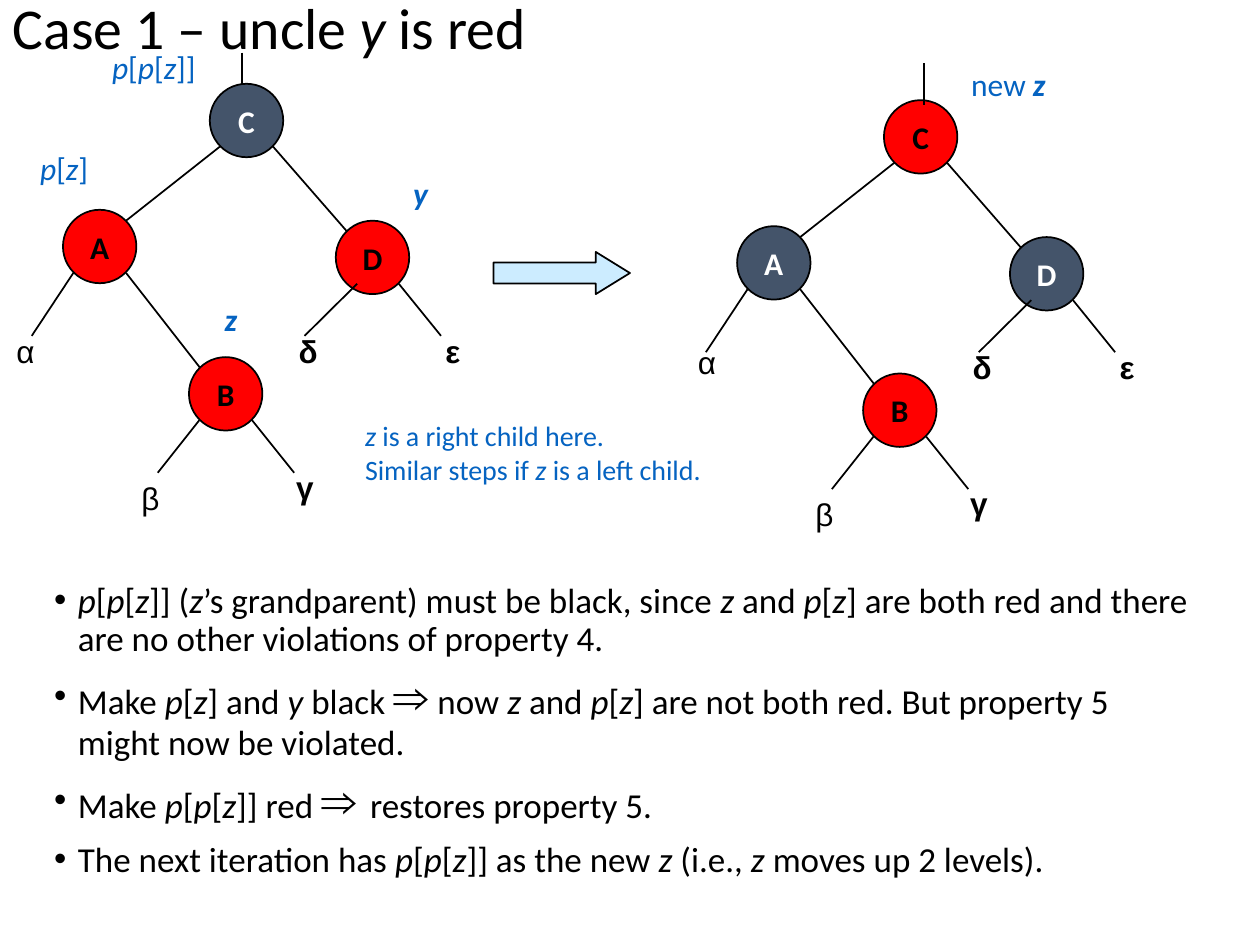
from lxml.etree import SubElement
from pptx import Presentation
from pptx.dml.color import RGBColor
from pptx.enum.shapes import MSO_CONNECTOR as LINE, MSO_SHAPE as SHAPE
from pptx.enum.text import MSO_ANCHOR as ANCHOR, MSO_AUTO_SIZE as FIT, PP_ALIGN as ALIGN
from pptx.oxml.ns import qn
from pptx.util import Cm, Pt

BLACK, WHITE, RED, SLATE, BLUE, PALE = "000000", "FFFFFF", "FF0000", "44546A", "0563C1", "CCECFF"
NODE = 1.48
ROW = 1.01

TITLE = "Case 1 – uncle *y* is red"
BULLETS = [
    "*p*[*p*[*z*]] (*z*’s grandparent) must be black, since *z *and *p*[*z*] are both red "
    "and there are no other violations of property 4.",
    "Make *p*[*z*] and *y *black ^⇒^^ ^now *z *and *p*[*z*] are not both red. "
    "But property 5 might now be violated.",
    "Make *p*[*p*[*z*]] red ^⇒ ^restores property 5.",
    "The next iteration has *p*[*p*[*z*]] as the new *z *(i.e., *z *moves up 2 levels).",
]
SYMBOLS = {"⇒": ("Arial", 28), "⇒ ": ("Arial", 28), " ": ("Lato", 20)}

NODES = {"C": (4.23, 1.69), "A": (1.27, 4.23), "D": (6.77, 4.45), "B": (3.81, 7.2)}
EDGES = [
    (4.44, 2.95, 2.54, 4.45), (5.5, 2.95, 6.99, 4.66),
    (2.54, 5.5, 4.03, 7.41), (1.48, 5.5, 0.64, 6.77),
    (4.02, 8.47, 3.18, 9.53), (5.08, 8.47, 5.93, 9.53),
    (7.2, 5.72, 6.14, 6.77), (8.04, 5.72, 8.89, 6.77),
]
LEAVES = [
    ("β", 2.6, 9.53, 0.86, False), ("γ", 5.72, 9.31, 1.04, True),
    ("δ", 5.77, 6.56, 0.81, True), ("ε", 8.73, 6.56, 0.79, True),
]
TREES = [
    dict(offset=(0, 0), red="ADB", alpha=(0.08, 6.56), stem=(4.88, 1.06, 4.88, 1.69)),
    dict(offset=(13.59, 0.33), red="CB", alpha=(13.82, 6.79), stem=(18.63, 1.27, 18.63, 2.12)),
]
NOTES = [
    (["*z*"], 4.28, 5.93, 0.77, 18, True),
    (["*y*"], 8.08, 3.39, 0.81, 18, True),
    (["new* z*"], 19.33, 1.18, 2.02, 18, True),
    (["*z* is a right child here.", "Similar steps if *z* is a left child."],
     7.11, 8.32, 7.32, 16, False),
    (["*p*[*z*]"], 0.56, 2.88, 1.5, 18, False),
    (["*p*[*p*[*z*]]"], 2.01, 0.84, 2.35, 18, False),
]


def rgb(color):
    return RGBColor.from_string(color)


def add_run(p, text, size, color, name="Calibri", bold=False, italic=False):
    r = p.add_run()
    r.text = text
    f = r.font
    f.size, f.name, f.bold, f.italic = Pt(size), name, bold, italic
    f.color.rgb = rgb(color)


def add_marked(p, text, size, color, bold_italic=False):
    for i, part in enumerate(text.split("*")):
        for j, bit in enumerate(part.split("^")):
            name, pt = SYMBOLS[bit] if j % 2 else ("Calibri", size)
            italic = i % 2 == 1
            if bit:
                add_run(p, bit, pt, color, name, bold_italic and italic, italic)


def paragraphs(tf, texts):
    for i, text in enumerate(texts):
        yield (tf.add_paragraph() if i else tf.paragraphs[0]), text


def add_box(s, x, y, w, h, wrap=False):
    tf = s.shapes.add_textbox(Cm(x), Cm(y), Cm(w), Cm(h)).text_frame
    tf.word_wrap = wrap
    tf.auto_size = FIT.SHAPE_TO_FIT_TEXT
    return tf


def add_shape(s, kind, x, y, w, h, fill):
    sp = s.shapes.add_shape(kind, Cm(x), Cm(y), Cm(w), Cm(h))
    sp.shadow.inherit = False
    sp.fill.solid()
    sp.fill.fore_color.rgb = rgb(fill)
    sp.line.color.rgb = rgb(BLACK)
    sp.line.width = Pt(1)
    return sp


def add_line(s, x1, y1, x2, y2):
    c = s.shapes.add_connector(LINE.STRAIGHT, Cm(x1), Cm(y1), Cm(x2), Cm(y2))
    c.line.color.rgb = rgb(BLACK)
    c.line.width = Pt(1)
    SubElement(c._element.spPr, qn("a:effectLst"))


def add_leaf(s, text, x, y, w, bold):
    tf = add_box(s, x, y, w, ROW, wrap=text == "γ")
    add_run(tf.paragraphs[0], text, 18, BLACK, "Arial", bold)


def add_tree(s, offset, red, alpha, stem):
    dx, dy = offset
    for key, (x, y) in NODES.items():
        sp = add_shape(s, SHAPE.OVAL, x + dx, y + dy, NODE, NODE, RED if key in red else SLATE)
        tf = sp.text_frame
        tf.word_wrap = False
        tf.vertical_anchor = ANCHOR.MIDDLE
        p = tf.paragraphs[0]
        p.alignment = ALIGN.CENTER
        add_run(p, key, 18, BLACK if key in red else WHITE, bold=True)
    for x1, y1, x2, y2 in EDGES:
        add_line(s, x1 + dx, y1 + dy, x2 + dx, y2 + dy)
    add_leaf(s, "α", *alpha, 0.91, False)
    for text, x, y, w, bold in LEAVES:
        add_leaf(s, text, x + dx, y + dy, w, bold)
    add_line(s, *stem)


def add_title(s):
    sp = s.shapes.title
    sp.left, sp.top, sp.width, sp.height = Cm(0), Cm(-0.64), Cm(25.4), Cm(2.54)
    tf = sp.text_frame
    tf.auto_size = FIT.NONE
    tf.vertical_anchor = ANCHOR.MIDDLE
    p = tf.paragraphs[0]
    p.alignment = ALIGN.LEFT
    p.line_spacing = 0.9
    add_marked(p, TITLE, 33, BLACK)


def add_bullets(s):
    tf = add_box(s, 0.84, 11.63, 23.5, 6.35, wrap=True)
    tf.auto_size = FIT.NONE
    for p, text in paragraphs(tf, BULLETS):
        p.line_spacing = 0.9
        p.space_before = Pt(7.5)
        pPr = p._p.get_or_add_pPr()
        pPr.set("marL", str(Cm(0.48)))
        pPr.set("indent", str(-Cm(0.48)))
        SubElement(pPr, qn("a:buFont"), typeface="Arial")
        SubElement(pPr, qn("a:buChar"), char="•")
        add_marked(p, text, 20, BLACK)


def main():
    prs = Presentation()
    prs.slide_width, prs.slide_height = Cm(25.4), Cm(19.05)
    s = prs.slides.add_slide(prs.slide_layouts[5])
    add_title(s)
    add_bullets(s)
    for tree in TREES:
        add_tree(s, **tree)
    arrow = add_shape(s, SHAPE.RIGHT_ARROW, 9.95, 5.08, 2.75, 0.85, PALE)
    arrow.adjustments[1] = 0.81
    for texts, x, y, w, size, bold in NOTES:
        tf = add_box(s, x, y, w, ROW if len(texts) == 1 else 1.63)
        for p, text in paragraphs(tf, texts):
            add_marked(p, text, size, BLUE, bold)
    prs.save("out.pptx")


if __name__ == "__main__":
    main()
